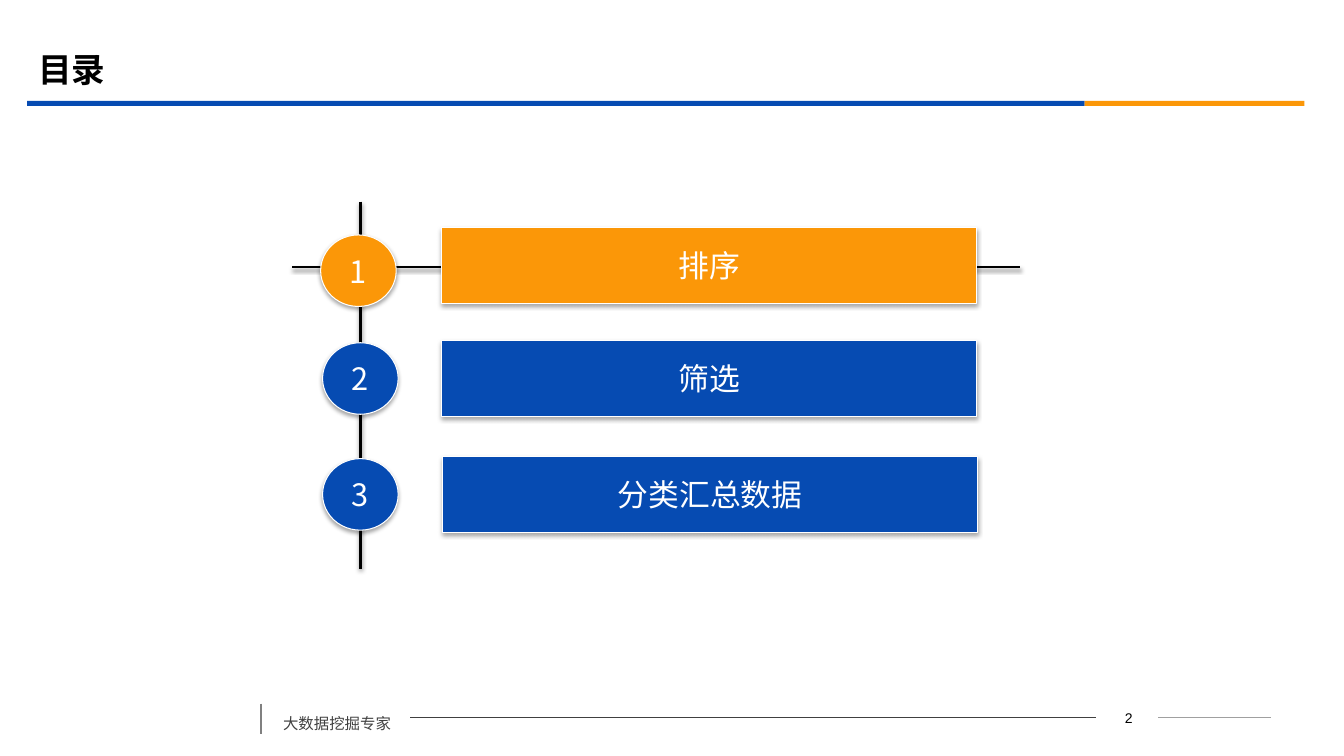
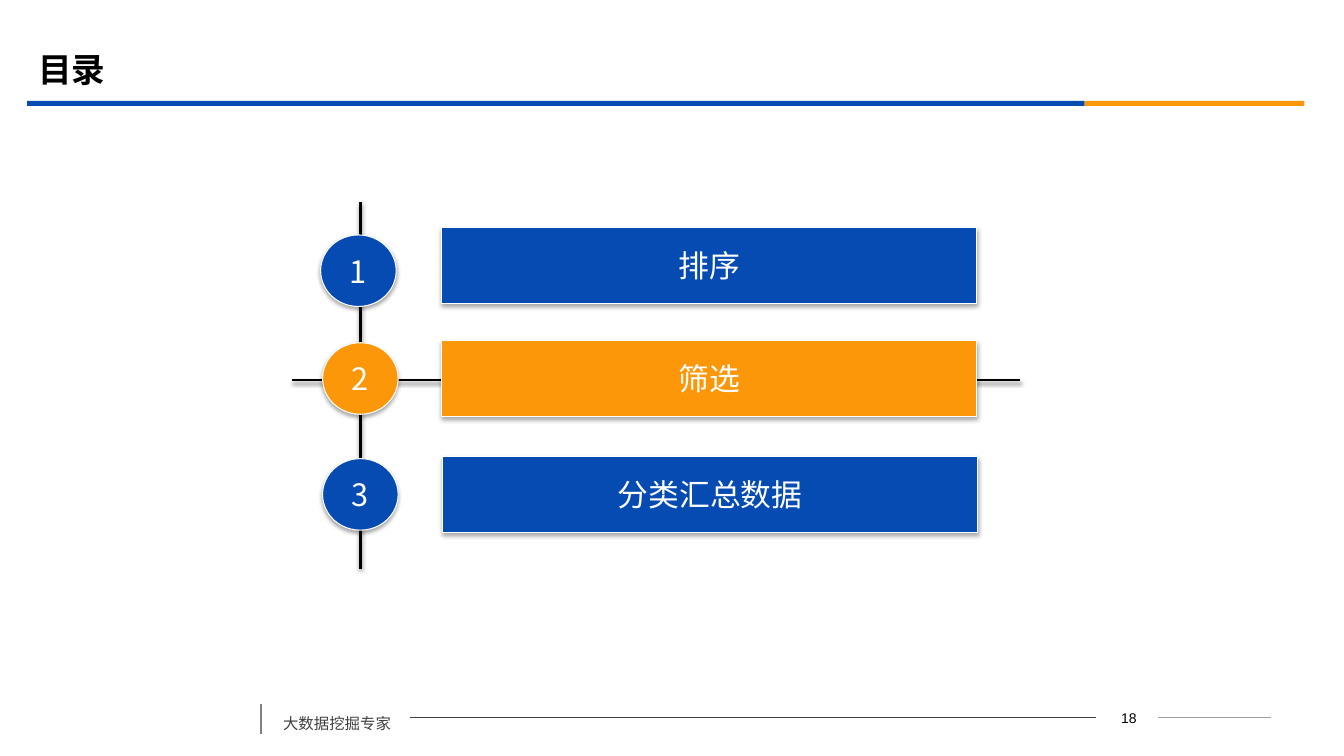
from dataclasses import dataclass

from lxml import etree
from pptx import Presentation
from pptx.dml.color import RGBColor
from pptx.enum import shapes, text
from pptx.oxml import ns
from pptx.util import Pt


@dataclass(frozen=True)
class Theme:
    """Colours, fonts and type sizes shared by the deck."""

    blue: str = "064BB2"
    orange: str = "FB9708"
    black: str = "000000"
    white: str = "FFFFFF"
    footer_text: str = "404040"
    footer_rule: str = "404040"
    footer_tick: str = "808080"
    footer_tail: str = "A0A0A0"
    cjk: str = "Noto Sans CJK SC"
    latin: str = "Arial"
    title_size: float = 24
    agenda_size: float = 22
    footer_size: float = 11
    number_size: float = 10


THEME = Theme()
TOPICS = ["排序", "筛选", "分类汇总数据"]
BAR_SPOTS = [(315.4, 162.7), (315.4, 243.4), (316.1, 326.2)]
DISC_SPOTS = [(229, 167.8), (230.4, 244.8), (230.4, 327.6)]
BAR_SIZE = (382.3, 54)
DISC_SIZE = (54, 51.1)


def write(shape, words, size, color, font=THEME.cjk, bold=False,
          align=text.PP_ALIGN.LEFT, anchor=text.MSO_ANCHOR.TOP, wrap=True):
    """Put one formatted paragraph into a shape and return it."""
    frame = shape.text_frame
    frame.text = words
    frame.word_wrap = wrap
    frame.vertical_anchor = anchor
    para = frame.paragraphs[0]
    para.alignment = align
    span = para.runs[0]
    span.font.name = font
    span.font.size = Pt(size)
    span.font.bold = bold
    span.font.color.rgb = RGBColor.from_string(color)
    east_asian = etree.SubElement(span.font._element, ns.qn("a:ea"))
    east_asian.set("typeface", font)
    return para


def set_effects(shape, opacity=0, distance=0):
    """Replace inherited effects with a soft downward shadow, or none."""
    properties = shape._element.spPr
    for old in properties.findall(ns.qn("a:effectLst")):
        properties.remove(old)
    effects = etree.SubElement(properties, ns.qn("a:effectLst"))
    if opacity:
        shadow = etree.SubElement(
            effects, ns.qn("a:outerShdw"), blurRad=str(Pt(3.1)),
            dist=str(Pt(distance)), dir="5400000", rotWithShape="0")
        color = etree.SubElement(shadow, ns.qn("a:srgbClr"), val=THEME.black)
        etree.SubElement(color, ns.qn("a:alpha"), val=str(opacity * 1000))


def add_line(page, start, end, color, width, shadow=False):
    """Draw a straight line between two points."""
    line = page.shapes.add_connector(
        shapes.MSO_CONNECTOR.STRAIGHT, *map(Pt, start + end))
    line.line.color.rgb = RGBColor.from_string(color)
    line.line.width = Pt(width)
    set_effects(line, 38 if shadow else 0, 1.6)


def add_band(page, left, width, color):
    """Draw one piece of the band below the title."""
    band = page.shapes.add_shape(
        shapes.MSO_SHAPE.RECTANGLE, Pt(left), Pt(72), Pt(width), Pt(3.7))
    band.shadow.inherit = False
    band.fill.solid()
    band.fill.fore_color.rgb = RGBColor.from_string(color)
    band.line.fill.background()


def add_label(page, kind, spot, size, words, color):
    """Draw a raised, white-edged shape with centred text."""
    label = page.shapes.add_shape(kind, *map(Pt, spot + size))
    label.fill.solid()
    label.fill.fore_color.rgb = RGBColor.from_string(color)
    label.line.color.rgb = RGBColor.from_string(THEME.white)
    label.line.width = Pt(0.75)
    set_effects(label, 35, 1.8)
    write(label, words, THEME.agenda_size, THEME.white,
          align=text.PP_ALIGN.CENTER, anchor=text.MSO_ANCHOR.MIDDLE, wrap=False)


def add_footer(page, number):
    """Draw the footer rules, the tagline and the page number."""
    add_line(page, (186.5, 502.6), (186.5, 524.2), THEME.footer_tick, 1.25)
    add_line(page, (293, 512.6), (782.6, 512.6), THEME.footer_rule, 0.75)
    add_line(page, (827.3, 512.6), (907.9, 512.6), THEME.footer_tail, 0.75)
    tagline = page.shapes.add_textbox(Pt(195.1), Pt(499.7), Pt(97.9), Pt(27.4))
    para = write(tagline, "大数据挖掘专家", THEME.footer_size, THEME.footer_text)
    para.line_spacing = 1.5
    box = page.shapes.add_textbox(Pt(784), Pt(503.3), Pt(44.6), Pt(18))
    write(box, str(number), THEME.number_size, THEME.black, THEME.latin,
          align=text.PP_ALIGN.CENTER)


def add_page(deck, title, number):
    """Add a slide with the shared title, band and footer."""
    page = deck.slides.add_slide(deck.slide_layouts[5])
    heading = page.shapes.title
    heading.left, heading.top = Pt(20.2), Pt(28.1)
    heading.width, heading.height = Pt(864), Pt(41.8)
    write(heading, title, THEME.title_size, THEME.black, bold=True,
          anchor=text.MSO_ANCHOR.MIDDLE)
    add_band(page, 19.4, 755.3, THEME.blue)
    add_band(page, 774.7, 157, THEME.orange)
    add_footer(page, number)
    return page


def add_agenda(page, current):
    """Draw the numbered topics with the current one highlighted."""
    add_line(page, (257.4, 144), (257.4, 406.1), THEME.black, 2, shadow=True)
    level = BAR_SPOTS[current][1] + BAR_SIZE[1] / 2 + 1
    add_line(page, (208.8, level), (728.6, level), THEME.black, 2, shadow=True)
    for index, topic in enumerate(TOPICS):
        color = THEME.orange if index == current else THEME.blue
        add_label(page, shapes.MSO_SHAPE.OVAL, DISC_SPOTS[index], DISC_SIZE,
                  str(index + 1), color)
        add_label(page, shapes.MSO_SHAPE.ACTION_BUTTON_CUSTOM, BAR_SPOTS[index],
                  BAR_SIZE, topic, color)


def main():
    """Build the agenda slides and save the deck."""
    deck = Presentation()
    deck.slide_width, deck.slide_height = Pt(960), Pt(540)
    for current, number in enumerate([2, 18]):
        add_agenda(add_page(deck, "目录", number), current)
    deck.save("out.pptx")


if __name__ == "__main__":
    main()
